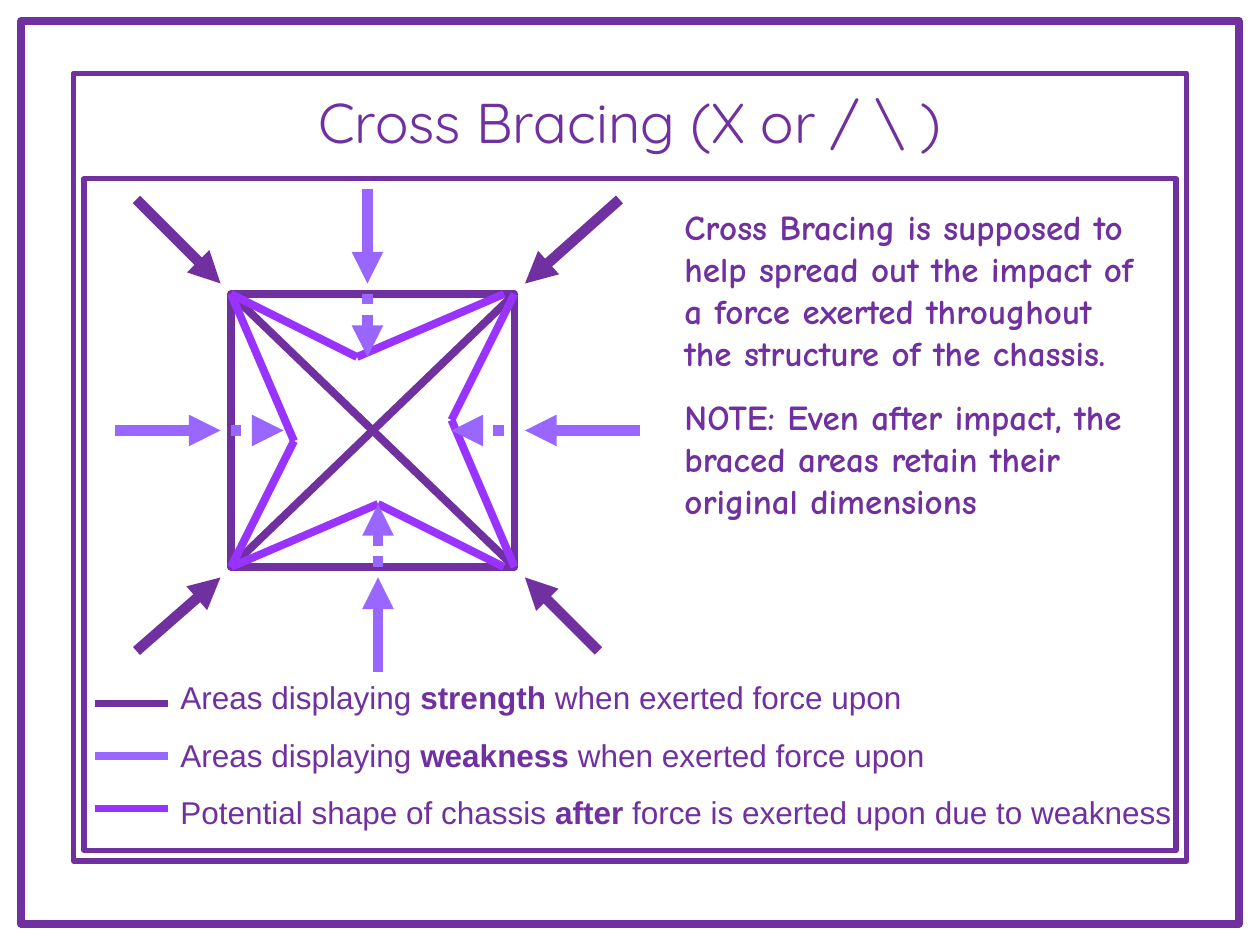
"""Build a slide explaining how cross bracing spreads force through a chassis."""
from dataclasses import dataclass
from typing import NamedTuple, Optional

from lxml import etree
from pptx import Presentation
from pptx.dml.color import RGBColor
from pptx.enum.dml import MSO_LINE
from pptx.enum.shapes import MSO_CONNECTOR, MSO_SHAPE
from pptx.enum.text import MSO_ANCHOR, MSO_AUTO_SIZE, PP_ALIGN
from pptx.oxml.ns import qn
from pptx.util import Cm, Length, Pt

STRAIGHT = MSO_CONNECTOR.STRAIGHT
RECTANGLE = MSO_SHAPE.RECTANGLE
DOTTED = MSO_LINE.ROUND_DOT
CENTER, LEFT = PP_ALIGN.CENTER, PP_ALIGN.LEFT
MIDDLE, TOP = MSO_ANCHOR.MIDDLE, MSO_ANCHOR.TOP
GROW, FIXED = MSO_AUTO_SIZE.SHAPE_TO_FIT_TEXT, MSO_AUTO_SIZE.NONE


class Point(NamedTuple):
    x: float
    y: float


class Box(NamedTuple):
    left: float
    top: float
    width: float
    height: float


class Arrow(NamedTuple):
    start: Point
    end: Point


class Run(NamedTuple):
    text: str
    bold: bool = False


@dataclass(frozen=True)
class TextStyle:
    font: str
    size: Length
    bold: Optional[bool] = None
    space_before: Length = Pt(0)
    align: PP_ALIGN = LEFT
    anchor: MSO_ANCHOR = TOP
    fit: MSO_AUTO_SIZE = GROW


@dataclass(frozen=True)
class Theme:
    strength: RGBColor = RGBColor(0x70, 0x30, 0xA0)
    weakness: RGBColor = RGBColor(0x99, 0x66, 0xFF)
    deformed: RGBColor = RGBColor(0x99, 0x33, 0xFF)
    thin: Length = Pt(3)
    medium: Length = Pt(4.5)
    thick: Length = Pt(6)
    title: TextStyle = TextStyle("Quicksand", Pt(32), align=CENTER, anchor=MIDDLE, fit=FIXED)
    legend: TextStyle = TextStyle("Arial", Pt(18), space_before=Pt(11.2))
    note: TextStyle = TextStyle("Comic Neue", Pt(20), bold=True, space_before=Pt(12.5))


THEME = Theme()
CHASSIS = Box(22, 28, 27, 26)
TOP_LEFT, TOP_RIGHT = Point(22, 28), Point(49, 28)
BOTTOM_LEFT, BOTTOM_RIGHT = Point(22, 54), Point(49, 54)
BRACES = [(TOP_LEFT, BOTTOM_RIGHT), (TOP_RIGHT, BOTTOM_LEFT)]

CORNER_FORCES = [
    Arrow(Point(13, 62), Point(21, 55)),
    Arrow(Point(57, 62), Point(50, 55)),
    Arrow(Point(59, 19), Point(50, 27)),
    Arrow(Point(13, 19), Point(21, 27)),
]
SIDE_FORCES = [
    Arrow(Point(11, 41), Point(21, 41)),
    Arrow(Point(36, 64), Point(36, 55)),
    Arrow(Point(61, 41), Point(50, 41)),
    Arrow(Point(35, 18), Point(35, 27)),
]
INNER_FORCES = [
    Arrow(Point(48, 41), Point(43, 41)),
    Arrow(Point(36, 54), Point(36, 48)),
    Arrow(Point(22, 41), Point(27, 41)),
    Arrow(Point(35, 28), Point(35, 34)),
]
DENTS = [
    (TOP_RIGHT, Point(43, 40), BOTTOM_RIGHT),
    (Point(48, 54), Point(36, 48), BOTTOM_LEFT),
    (BOTTOM_LEFT, Point(28, 42), TOP_LEFT),
    (TOP_LEFT, Point(34, 34), Point(48, 28)),
]
LEGEND = [
    (THEME.strength, [Run("Areas displaying "), Run("strength", True),
                      Run(" when exerted force upon")]),
    (THEME.weakness, [Run("Areas displaying "), Run("weakness", True),
                      Run(" when exerted force upon")]),
    (THEME.deformed, [Run("Potential shape of chassis "), Run("after", True),
                      Run(" force is exerted upon due to weakness")]),
]
NOTES = [
    "Cross Bracing is supposed to help spread out the impact of a force "
    "exerted throughout the structure of the chassis.",
    "NOTE: Even after impact, the braced areas retain their original dimensions",
]
FRAMES = [
    (Box(2, 2, 116, 86), THEME.medium),
    (Box(8, 17, 104, 64), THEME.thin),
    (Box(7, 7, 106, 75), THEME.thin),
]


def grid(steps: float) -> Length:
    """Return a length in grid steps of one twelfth of 2.54 cm."""
    return Cm(2.54 * steps / 12)


def draw_frame(slide, box: Box, width: Length) -> None:
    """Draw an unfilled rectangle."""
    frame = slide.shapes.add_shape(RECTANGLE, *map(grid, box))
    frame.shadow.inherit = False
    frame.fill.background()
    frame.line.color.rgb = THEME.strength
    frame.line.width = width


def draw_line(slide, start: Point, end: Point, color: RGBColor, width: Length,
              dash: Optional[MSO_LINE] = None, arrow: bool = False) -> None:
    """Draw a straight line, optionally dotted or ending in an arrowhead."""
    line = slide.shapes.add_connector(STRAIGHT, *map(grid, (*start, *end)))
    line.line.color.rgb = color
    line.line.width = width
    if dash is not None:
        line.line.dash_style = dash
    properties = line._element.spPr
    if arrow:
        etree.SubElement(properties.find(qn("a:ln")), qn("a:tailEnd"), type="triangle")
    etree.SubElement(properties, qn("a:effectLst"))


def write_text(slide, box: Box, paragraphs: list[list[Run]], style: TextStyle) -> None:
    """Write paragraphs of runs in one text style."""
    frame = slide.shapes.add_textbox(*map(grid, box)).text_frame
    frame.word_wrap = True
    frame.auto_size = style.fit
    frame.vertical_anchor = style.anchor
    for index, runs in enumerate(paragraphs):
        paragraph = frame.paragraphs[0] if index == 0 else frame.add_paragraph()
        paragraph.alignment = style.align
        paragraph.space_before = style.space_before
        paragraph.font.name = style.font
        paragraph.font.size = style.size
        paragraph.font.bold = style.bold
        paragraph.font.color.rgb = THEME.strength
        for part in runs:
            run = paragraph.add_run()
            run.text = part.text
            if part.bold:
                run.font.bold = True


def draw_diagram(slide) -> None:
    """Draw the braced chassis, the forces on it and its dented outline."""
    draw_frame(slide, CHASSIS, THEME.medium)
    for start, end in BRACES:
        draw_line(slide, start, end, THEME.strength, THEME.medium)
    for forces, color in ((CORNER_FORCES, THEME.strength), (SIDE_FORCES, THEME.weakness)):
        for force in forces:
            draw_line(slide, *force, color, THEME.thick, arrow=True)
    for first, tip, last in DENTS:
        for corner in (first, last):
            draw_line(slide, corner, tip, THEME.deformed, THEME.medium)
    for force in INNER_FORCES:
        draw_line(slide, *force, THEME.weakness, THEME.thick, DOTTED, arrow=True)


def main() -> None:
    """Build and save the slide."""
    deck = Presentation()
    deck.slide_width, deck.slide_height = Cm(25.4), Cm(19.05)
    slide = deck.slides.add_slide(deck.slide_layouts[6])
    draw_diagram(slide)
    write_text(slide, Box(6, 4, 108, 15), [[Run("Cross Bracing (X or / \\ )")]], THEME.title)
    write_text(slide, Box(16, 64, 101, 15.84), [runs for _, runs in LEGEND], THEME.legend)
    for row, (color, _) in enumerate(LEGEND):
        height = 67 + 5 * row
        draw_line(slide, Point(9, height), Point(16, height), color, THEME.medium)
    write_text(slide, Box(64, 19, 46, 31.3), [[Run(note)] for note in NOTES], THEME.note)
    for box, width in FRAMES:
        draw_frame(slide, box, width)
    deck.save("out.pptx")


if __name__ == "__main__":
    main()
